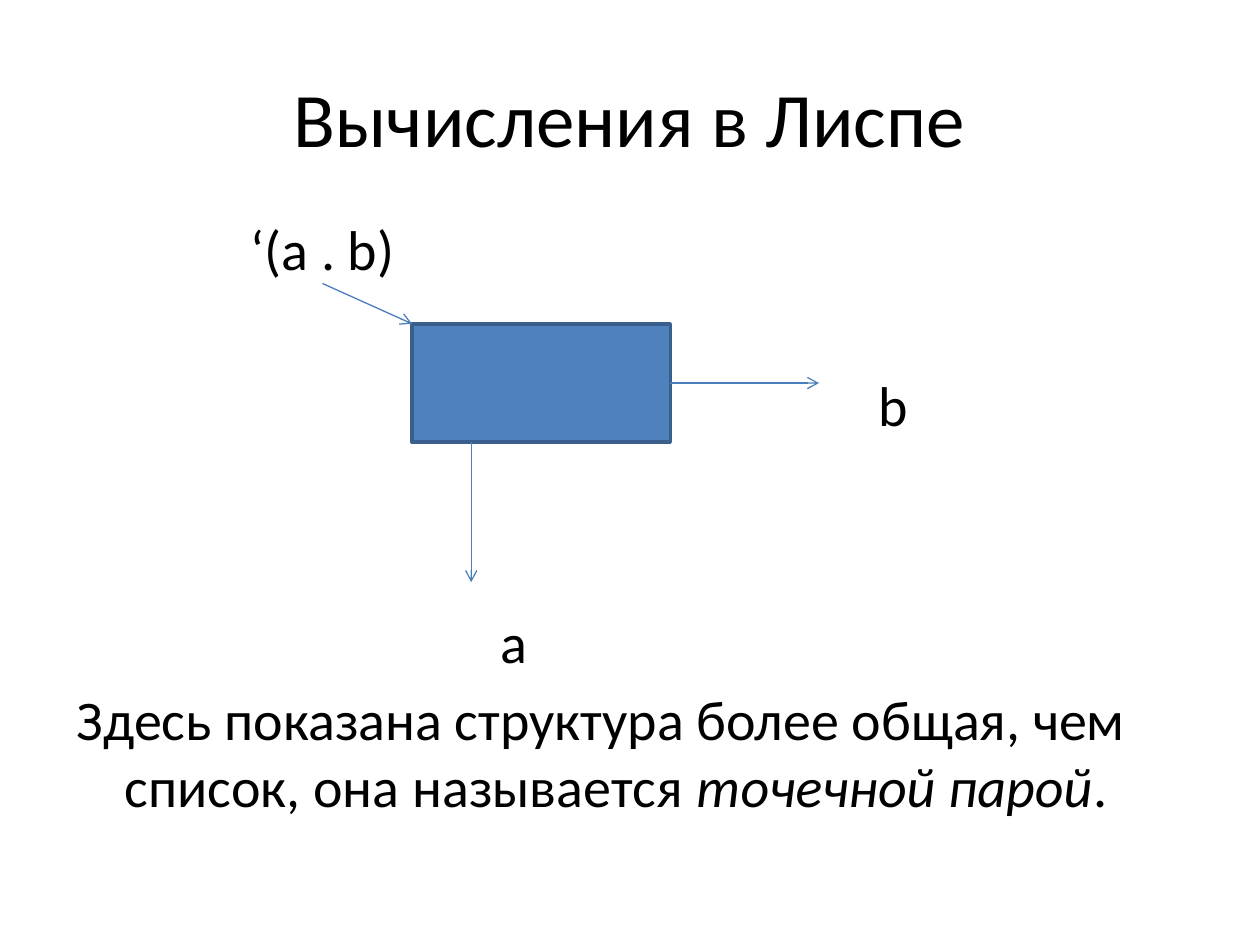
from lxml import etree
from pptx import Presentation
from pptx.dml.color import RGBColor
from pptx.enum.shapes import MSO_CONNECTOR, MSO_SHAPE
from pptx.enum.text import MSO_ANCHOR, PP_ALIGN
from pptx.oxml.ns import qn
from pptx.util import Inches, Pt

STRAIGHT = MSO_CONNECTOR.STRAIGHT
RECT = MSO_SHAPE.RECTANGLE
TOP, MIDDLE = MSO_ANCHOR.TOP, MSO_ANCHOR.MIDDLE
LEFT, CENTER = PP_ALIGN.LEFT, PP_ALIGN.CENTER

FONT = "Calibri"
BLACK = RGBColor(0x00, 0x00, 0x00)
BLUE = RGBColor(0x4F, 0x81, 0xBD)
OUTLINE = RGBColor(0x3A, 0x5F, 0x8C)
ARROW = RGBColor(0x4B, 0x7E, 0xBC)

TITLE = "Вычисления в Лиспе"
LABELS = [  # text, left, top, width
    ("‘(a . b)", 1.99, 1.7, 1.5),
    ("b", 6.97, 2.94, 0.5),
    ("a", 3.97, 4.82, 0.5),
]
NOTE = [  # text, italic
    ("Здесь показана структура более общая, чем список, она называется ", False),
    ("точечной парой", True),
    (".", False),
]
PAIR_X, PAIR_Y, PAIR_W, PAIR_H = 3.27, 2.57, 2.05, 0.94
CAR_X = PAIR_X + 0.47
CDR_Y = PAIR_Y + PAIR_H / 2
ARROWS = [  # from, to
    ((CAR_X, PAIR_Y + PAIR_H), (CAR_X, 4.62)),
    ((PAIR_X + PAIR_W, CDR_Y), (6.5, CDR_Y)),
    ((2.56, 2.25), (PAIR_X, PAIR_Y)),
]


def add_text(s, runs, x, y, w, h, size=32, align=LEFT, anchor=TOP):
    """Add a one-paragraph text box without margins and return its paragraph."""
    tf = s.shapes.add_textbox(Inches(x), Inches(y), Inches(w), Inches(h)).text_frame
    tf.word_wrap = True
    tf.vertical_anchor = anchor
    tf.margin_left = tf.margin_right = tf.margin_top = tf.margin_bottom = 0
    p = tf.paragraphs[0]
    p.alignment = align
    for text, italic in runs:
        r = p.add_run()
        r.text = text
        r.font.name = FONT
        r.font.size = Pt(size)
        r.font.italic = italic
        r.font.color.rgb = BLACK
    return p


def add_pair(s):
    sp = s.shapes.add_shape(RECT, Inches(PAIR_X), Inches(PAIR_Y), Inches(PAIR_W), Inches(PAIR_H))
    sp.shadow.inherit = False
    sp.fill.solid()
    sp.fill.fore_color.rgb = BLUE
    sp.line.color.rgb = OUTLINE
    sp.line.width = Pt(2)


def add_arrow(s, start, end):
    line = s.shapes.add_connector(STRAIGHT, *(Inches(v) for v in start + end))
    line.line.color.rgb = ARROW
    line.line.width = Pt(0.75)
    etree.SubElement(line.line._get_or_add_ln(), qn("a:tailEnd"), type="arrow")
    etree.SubElement(line._element.spPr, qn("a:effectLst"))


def main():
    prs = Presentation()
    prs.slide_width, prs.slide_height = Inches(10), Inches(7.5)
    s = prs.slides.add_slide(prs.slide_layouts[6])

    add_text(s, [(TITLE, False)], 0.5, 0.3, 9, 1.25, 44, CENTER, MIDDLE)
    for text, x, y, w in LABELS:
        add_text(s, [(text, False)], x, y, w, 0.54)

    p = add_text(s, NOTE, 0.61, 5.43, 8.8, 1.1)
    pPr = p._p.get_or_add_pPr()
    pPr.set("marL", str(Inches(0.38)))
    pPr.set("indent", str(Inches(-0.38)))

    add_pair(s)
    for start, end in ARROWS:
        add_arrow(s, start, end)
    prs.save("out.pptx")


if __name__ == "__main__":
    main()
